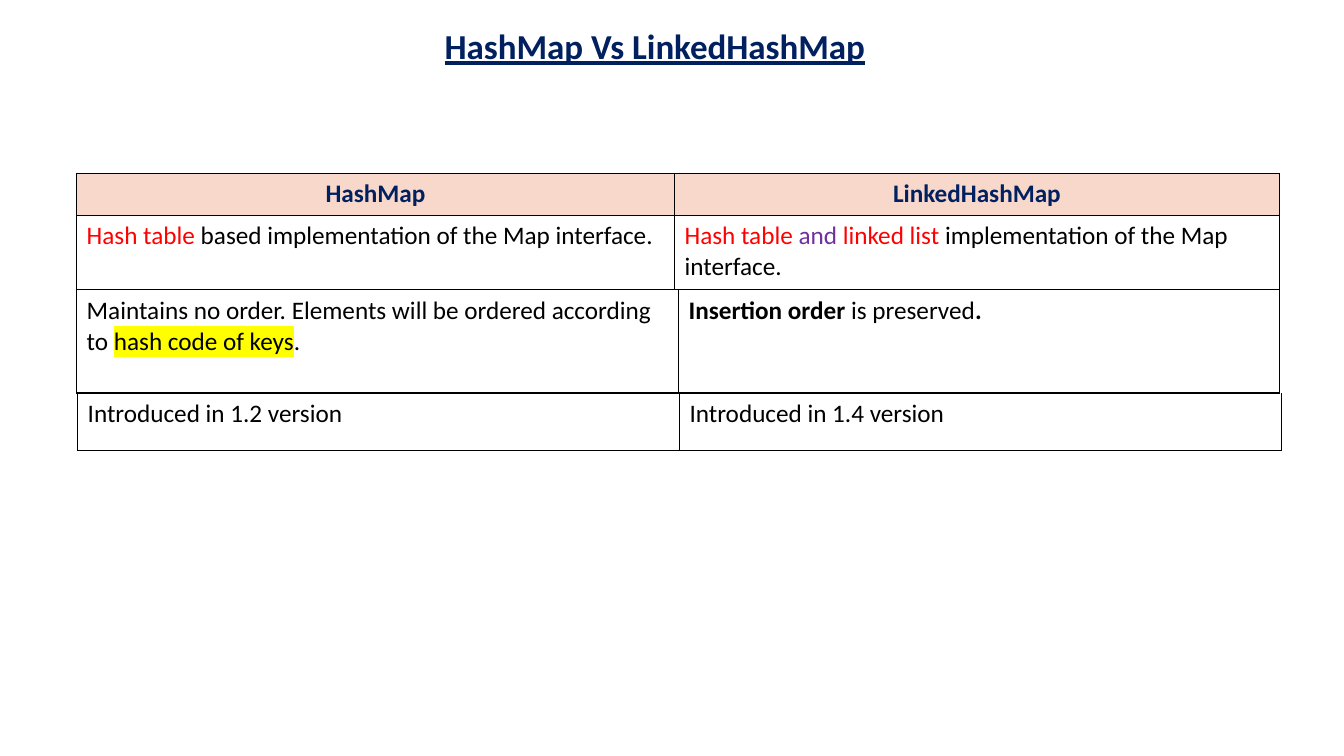
from dataclasses import dataclass

from lxml import etree
from pptx import Presentation
from pptx.dml.color import RGBColor
from pptx.enum import text
from pptx.oxml import ns
from pptx.util import Inches, Pt


@dataclass(frozen=True)
class Theme:
    font: str = "Calibri"
    title_size: int = 25
    body_size: int = 18
    navy: str = "002060"
    black: str = "000000"
    red: str = "FF0000"
    purple: str = "7030A0"
    yellow: str = "FFFF00"
    header_fill: str = "F8D8CA"
    border_width: int = 1


@dataclass(frozen=True)
class Span:
    words: str
    color: str = Theme.black
    bold: bool = False
    highlight: str = ""


THEME = Theme()
HEADER = [[Span(name, THEME.navy, bold=True)] for name in ("HashMap", "LinkedHashMap")]
IMPLEMENTATION = [
    [Span("Hash table ", THEME.red), Span("based implementation of the Map interface.")],
    [
        Span("Hash table ", THEME.red),
        Span("and", THEME.purple),
        Span(" linked list", THEME.red),
        Span(" implementation of the Map interface."),
    ],
]
ORDER = [
    [
        Span("Maintains no order. Elements will be ordered according to "),
        Span("hash code of keys", highlight=THEME.yellow),
        Span("."),
    ],
    [Span("Insertion order ", bold=True), Span("is preserved"), Span(".", bold=True)],
]
VERSION = [[Span(f"Introduced in {number} version")] for number in ("1.2", "1.4")]


def add_color(parent, tag, color):
    holder = etree.SubElement(parent, ns.qn(tag))
    etree.SubElement(holder, ns.qn("a:srgbClr"), val=color)


def set_borders(cell, top):
    """Rule the cell on every side, leaving the top open unless asked."""
    properties = cell._tc.get_or_add_tcPr()
    for side in "LRTB":
        line = etree.SubElement(properties, ns.qn(f"a:ln{side}"),
                                w=str(Pt(THEME.border_width)))
        if side == "T" and not top:
            etree.SubElement(line, ns.qn("a:noFill"))
        else:
            add_color(line, "a:solidFill", THEME.black)


def write_spans(para, spans, size):
    para.font.name = THEME.font
    para.font.size = Pt(size)
    for span in spans:
        run = para.add_run()
        run.text = span.words
        run.font.bold = span.bold
        run.font.color.rgb = RGBColor.from_string(span.color)
        if span.highlight:
            add_color(run.font._element, "a:highlight", span.highlight)


def add_title(page, words):
    title = page.shapes.title
    title.left, title.top = Inches(1.07), Inches(0.19)
    title.width, title.height = Inches(10.85), Inches(0.52)
    frame = title.text_frame
    frame.auto_size = text.MSO_AUTO_SIZE.SHAPE_TO_FIT_TEXT
    para = frame.paragraphs[0]
    para.alignment = text.PP_ALIGN.CENTER
    para.font.underline = True
    write_spans(para, [Span(words, THEME.navy, bold=True)], THEME.title_size)


def add_grid(page, left, top, widths, heights, rows, has_header=False):
    frame = page.shapes.add_table(len(rows), len(widths), Inches(left), Inches(top),
                                  Inches(sum(widths)), Inches(sum(heights)))
    table = frame.table
    table.first_row = table.horz_banding = False
    for column, width in zip(table.columns, widths):
        column.width = Inches(width)
    for index, (row, height, contents) in enumerate(zip(table.rows, heights, rows)):
        row.height = Inches(height)
        for cell, spans in zip(row.cells, contents):
            para = cell.text_frame.paragraphs[0]
            write_spans(para, spans, THEME.body_size)
            set_borders(cell, top=has_header)
            if has_header and index == 0:
                para.alignment = text.PP_ALIGN.CENTER
                cell.fill.solid()
                cell.fill.fore_color.rgb = RGBColor.from_string(THEME.header_fill)
            else:
                cell.fill.background()


def main():
    deck = Presentation()
    deck.slide_width, deck.slide_height = Inches(13.33), Inches(7.5)
    page = deck.slides.add_slide(deck.slide_layouts.get_by_name("Title Only"))
    add_title(page, "HashMap Vs LinkedHashMap")
    add_grid(page, 0.76, 1.72, (5.93, 6), (0.42, 0.73), (HEADER, IMPLEMENTATION),
             has_header=True)
    add_grid(page, 0.76, 2.88, (5.97, 5.96), (1.02,), (ORDER,))
    add_grid(page, 0.77, 3.9, (5.97, 5.97), (0.57,), (VERSION,))
    deck.save("out.pptx")


if __name__ == "__main__":
    main()
